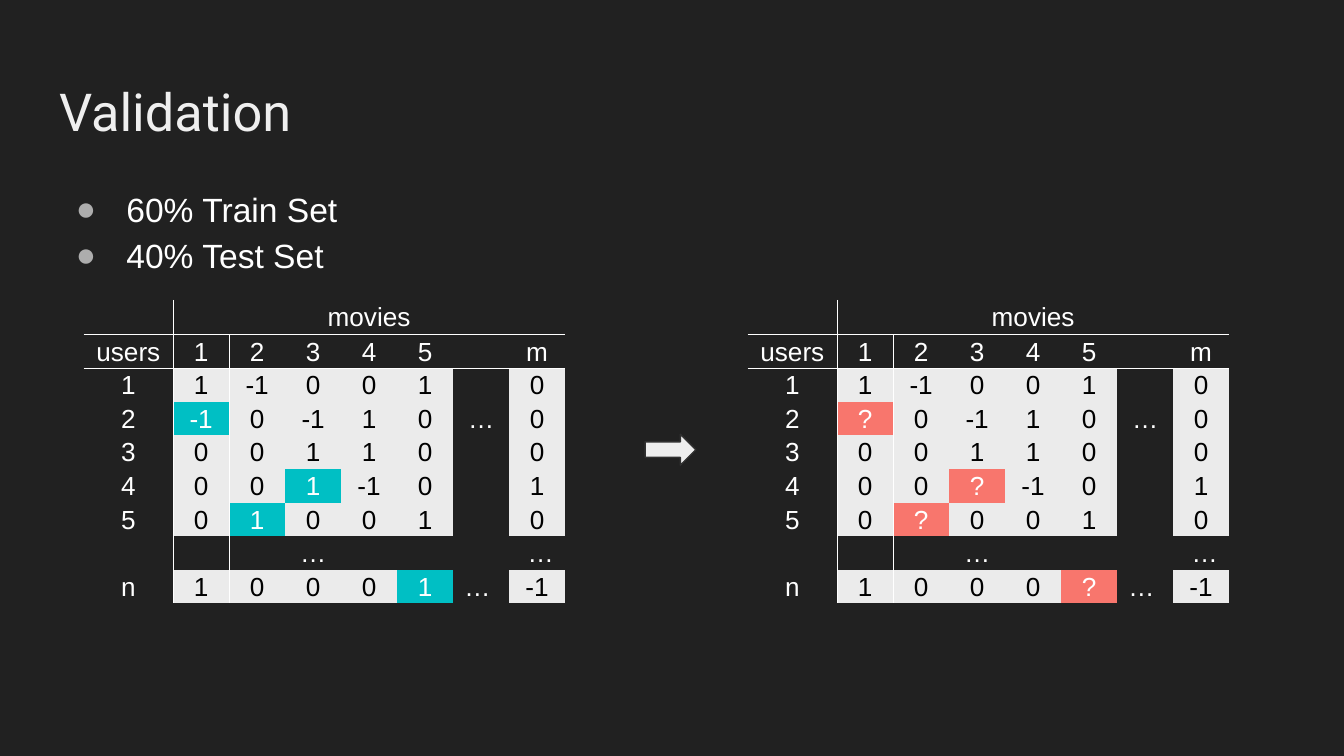
from lxml import etree
from pptx import Presentation
from pptx.dml.color import RGBColor
from pptx.enum.shapes import MSO_SHAPE
from pptx.enum.text import MSO_ANCHOR, MSO_AUTO_SIZE, PP_ALIGN
from pptx.oxml.ns import qn
from pptx.util import Pt

RIGHT_ARROW = MSO_SHAPE.RIGHT_ARROW
TOP, MIDDLE = MSO_ANCHOR.TOP, MSO_ANCHOR.MIDDLE
NO_FIT = MSO_AUTO_SIZE.NONE
LEFT, CENTER = PP_ALIGN.LEFT, PP_ALIGN.CENTER
NO_STYLE = "{2D5ABB26-0587-4C30-8999-92F81FD0307C}"

COLORS = {
    "bg": "212121", "title": "EFEFEF", "white": "FFFFFF", "black": "000000",
    "bullet": "ADADAD", "arrow": "EEEEEE", "arrow_line": "303030",
    "rating": "EBEBEB", "train": "00BFC4", "test": "F8766D",
}
RATINGS = [row.split(",") for row in (
    ",movies,,,,,,",
    "users,1,2,3,4,5,,m",
    "1,1,-1,0,0,1,,0",
    "2,-1,0,-1,1,0,…,0",
    "3,0,0,1,1,0,,0",
    "4,0,0,1,-1,0,,1",
    "5,0,1,0,0,1,,0",
    ",,,…,,,, …",
    "n,1,0,0,0,1,… ,-1",
)]
HELD_OUT = {(3, 1), (5, 3), (6, 2), (8, 5)}
RATING_ROWS = {2, 3, 4, 5, 6, 8}
RATING_COLS = {1, 2, 3, 4, 5, 7}


def rgb(name):
    return RGBColor.from_string(COLORS[name])


def format_run(r, font, size, color):
    r.font.name = font
    r.font.size = Pt(size)
    r.font.color.rgb = rgb(color)


prs = Presentation()
prs.slide_width, prs.slide_height = Pt(720), Pt(405)
s = prs.slides.add_slide(prs.slide_layouts[1])
s.background.fill.solid()
s.background.fill.fore_color.rgb = rgb("bg")

title, body = s.placeholders[0], s.placeholders[1]
for sp, text, box in (
    (title, "Validation", (24.5, 35.3, 671, 45.4)),
    (body, "60% Train Set\n40% Test Set", (24.5, 90.7, 336, 269)),
):
    sp.left, sp.top, sp.width, sp.height = [Pt(v) for v in box]
    tf = sp.text_frame
    tf.text = text
    tf.word_wrap = True
    tf.auto_size = NO_FIT
    tf.vertical_anchor = TOP
    tf.margin_left = tf.margin_right = tf.margin_top = tf.margin_bottom = Pt(7.2)

p = title.text_frame.paragraphs[0]
p.alignment = LEFT
format_run(p.runs[0], "Roboto", 28, "title")

for p in body.text_frame.paragraphs:
    p.line_spacing = 1.15
    p.space_before = Pt(0)
    pPr = p._p.get_or_add_pPr()
    pPr.set("marL", str(Pt(36)))
    pPr.set("indent", str(Pt(-27)))
    clr = etree.SubElement(pPr, qn("a:buClr"))
    etree.SubElement(clr, qn("a:srgbClr"), val=COLORS["bullet"])
    etree.SubElement(pPr, qn("a:buFont"), typeface="Arial")
    etree.SubElement(pPr, qn("a:buChar"), char="●")
    format_run(p.runs[0], "Arial", 18, "white")

arrow = s.shapes.add_shape(RIGHT_ARROW, Pt(345.6), Pt(232.6), Pt(27.2), Pt(16.6))
arrow.shadow.inherit = False
arrow.fill.solid()
arrow.fill.fore_color.rgb = rgb("arrow")
arrow.line.color.rgb = rgb("arrow_line")
arrow.line.width = Pt(0.75)

for left, accent, hidden in ((44.8, "train", None), (400.5, "test", "?")):
    frame = s.shapes.add_table(9, 8, Pt(left), Pt(160.6), Pt(258), Pt(162.7))
    table = frame.table
    table._tbl.tblPr.find(qn("a:tableStyleId")).text = NO_STYLE
    table.first_row = table.horz_banding = False
    for i, col in enumerate(table.columns):
        col.width = Pt(30 if i else 48)
    for i, row in enumerate(table.rows):
        row.height = Pt(18 if i else 18.7)
    table.cell(0, 1).merge(table.cell(0, 7))

    for i, values in enumerate(RATINGS):
        for j, value in enumerate(values):
            cell = table.cell(i, j)
            fill, color = "bg", "white"
            if (i, j) in HELD_OUT:
                fill, value = accent, hidden or value
            elif i in RATING_ROWS and j in RATING_COLS:
                fill, color = "rating", "black"

            tcPr = cell._tc.get_or_add_tcPr()
            for tag, ruled in (("a:lnL", j == 1), ("a:lnR", j == 0),
                               ("a:lnT", i == 1), ("a:lnB", i == 0)):
                if ruled:
                    ln = etree.SubElement(tcPr, qn(tag), w=str(Pt(0.5)))
                    solid = etree.SubElement(ln, qn("a:solidFill"))
                    etree.SubElement(solid, qn("a:srgbClr"), val=COLORS["white"])
            cell.fill.solid()
            cell.fill.fore_color.rgb = rgb(fill)

            cell.margin_left = cell.margin_right = cell.margin_top = Pt(0.7)
            cell.margin_bottom = Pt(0)
            cell.vertical_anchor = MIDDLE
            p = cell.text_frame.paragraphs[0]
            p.alignment = CENTER
            if value:
                p.text = value
                format_run(p.runs[0], "Arial", 14, color)
            else:
                etree.SubElement(p._p, qn("a:endParaRPr"), sz="1400")

prs.save("out.pptx")
